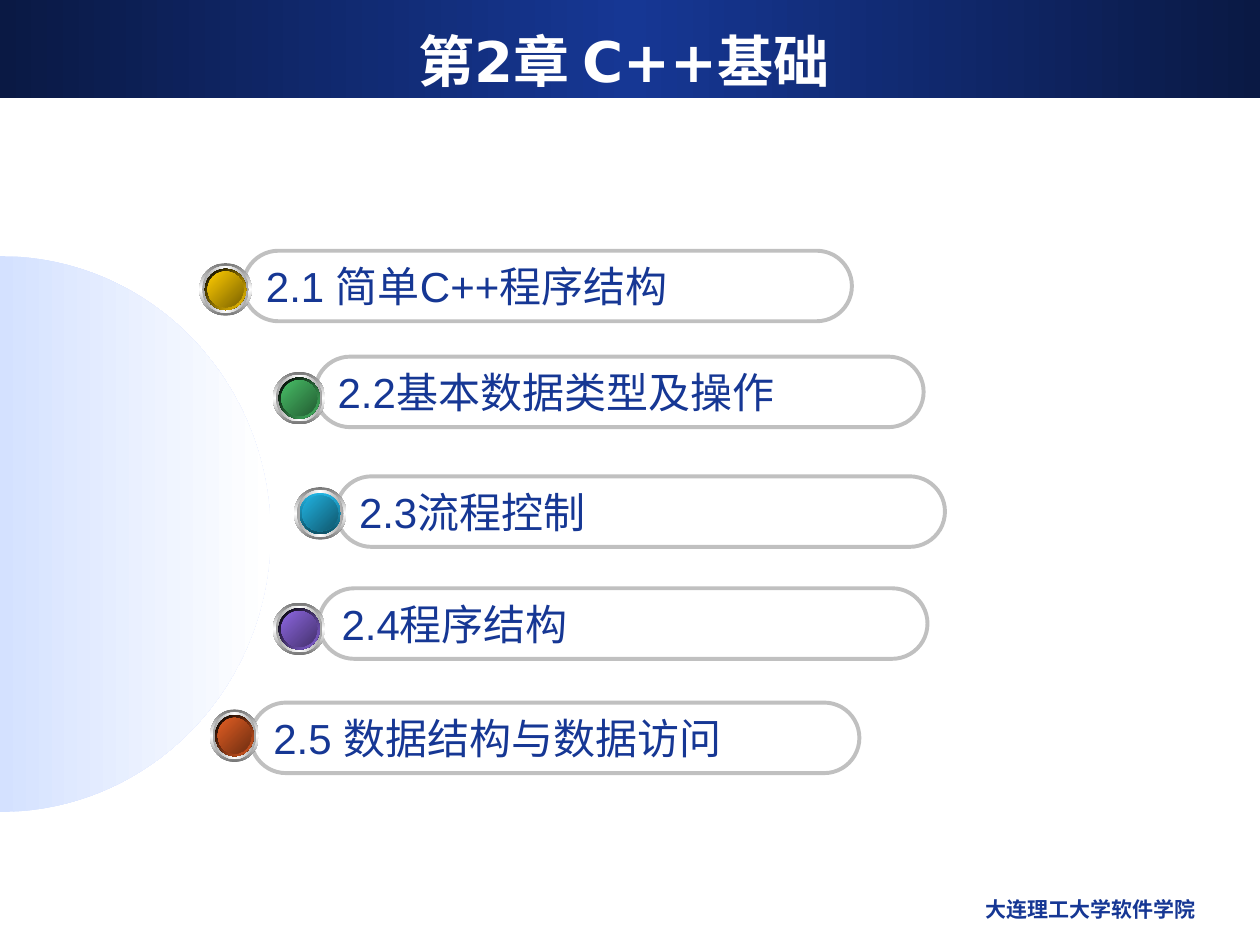
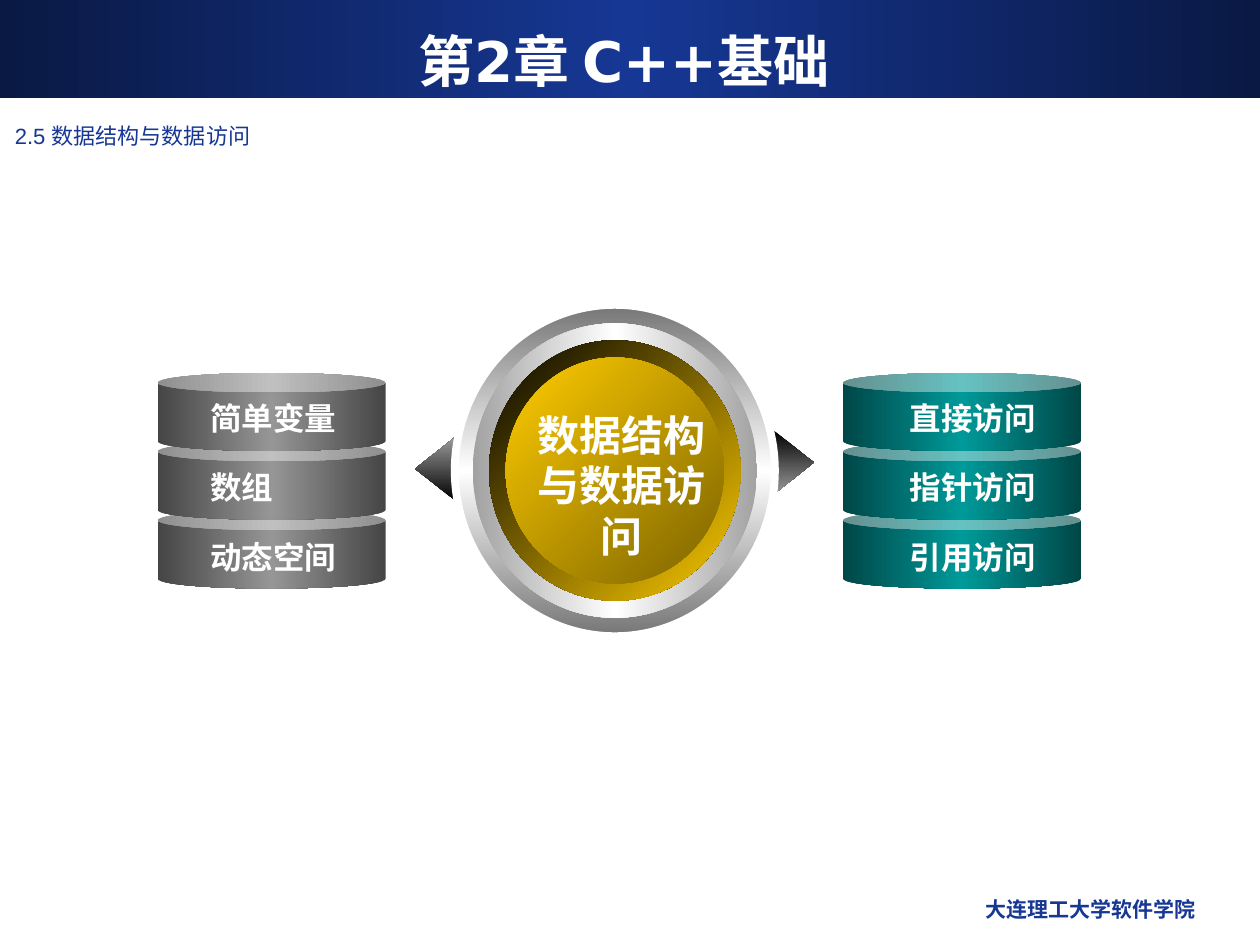
"""Builds two slides on C++ basics: the chapter outline and the data access diagram."""
from dataclasses import dataclass
from math import cos, pi, sin
from typing import NamedTuple

from lxml.etree import SubElement
from pptx import Presentation
from pptx.dml.color import RGBColor
from pptx.enum.shapes import MSO_SHAPE
from pptx.enum.text import MSO_ANCHOR, PP_ALIGN
from pptx.oxml.ns import qn
from pptx.util import Pt

NAVY, WHITE, SILVER = "163794", "FFFFFF", "C0C0C0"
SANS, ARIAL = "DejaVu Sans", "Arial"
CHAPTER = "第2章 C++基础"
SCHOOL = "大连理工大学软件学院"


class Box(NamedTuple):
    """A rectangle in points."""
    x: float
    y: float
    w: float
    h: float

    def inset(self, share: float) -> "Box":
        """Shrinks every side by a share of the box's size."""
        dx, dy = self.w * share, self.h * share
        return Box(self.x + dx, self.y + dy, self.w - 2 * dx, self.h - 2 * dy)

    def lengths(self) -> list:
        """Returns the four lengths for python-pptx."""
        return [Pt(v) for v in self]


class Gradient(NamedTuple):
    """Evenly spaced colours and a clockwise angle."""
    colors: tuple
    angle: int


class Style(NamedTuple):
    """Font and alignment of a text."""
    size: float
    color: str
    bold: bool = False
    font: str = ARIAL
    align: PP_ALIGN = PP_ALIGN.LEFT


@dataclass
class Topic:
    """An outline entry with its pill and its round button."""
    text: str
    pill_x: float
    pill_y: float
    button: Box
    light: str
    dark: str
    rim: Gradient


@dataclass
class Stack:
    """A column of cans with labels."""
    x: float
    w: float
    label_x: float
    fill: Gradient
    labels: tuple


TITLE = Style(32, WHITE, True, SANS, PP_ALIGN.CENTER)
FOOTER = Style(12, NAVY, True, SANS, PP_ALIGN.RIGHT)
SECTION = Style(12.6, NAVY)
ENTRY = Style(24, NAVY)
HUB = Style(24, WHITE, True, align=PP_ALIGN.CENTER)
LABEL = HUB._replace(size=18)

BAND = Gradient(("0A1944", NAVY, "0A1944"), 0)
OUTER_RING = Gradient(("767676", WHITE, "767676"), 90)
INNER_RING = Gradient(("A2A2A2", WHITE, "A2A2A2"), 0)
GOLD, DARK_GOLD = "FFCC00", "7C6300"


def black_rim(light: str) -> Gradient:
    """Returns the rim that runs from black to the button colour."""
    return Gradient(("000000", light), 45)


TOPICS = [
    Topic("2.1 简单C++程序结构", 139, 143.3, Box(113.9, 150.4, 30, 30),
          GOLD, DARK_GOLD, black_rim(GOLD)),
    Topic("2.2基本数据类型及操作", 180, 203.8, Box(156, 212.5, 30, 30),
          "48BE67", "235C32", black_rim("48BE67")),
    Topic("2.3流程控制", 192.2, 272.2, Box(168, 278.4, 30, 30),
          "21B3E1", "10576D", Gradient(("21B3E1", "0F5368"), 90)),
    Topic("2.4程序结构", 182.2, 336.2, Box(156, 344.4, 30, 30),
          "8D67E1", "45326D", black_rim("8D67E1")),
    Topic("2.5 数据结构与数据访问", 143.3, 401.5, Box(120, 405.4, 28, 30),
          "E35E23", "6E2E11", black_rim("E35E23")),
]
STACKS = [
    Stack(90, 130.3, 113, Gradient(("454545", "969696", "454545"), 0),
          ("简单变量", "数组", "动态空间")),
    Stack(481.7, 136.1, 512.6, Gradient(("004747", "009999", "004747"), 0),
          ("直接访问", "指针访问", "引用访问")),
]


def rgb(color: str) -> RGBColor:
    """Turns a hex string into a colour."""
    return RGBColor.from_string(color)


def paint(shape, gradient: Gradient) -> None:
    """Gives a shape a gradient and takes away its line and shadow."""
    shape.shadow.inherit = False
    shape.line.fill.background()
    shape.fill.gradient()
    shape.fill.gradient_angle = -gradient.angle % 360
    stops = shape._element.spPr.find(".//" + qn("a:gsLst"))
    for stop in list(stops):
        stops.remove(stop)
    step = 100000 // (len(gradient.colors) - 1)
    for i, color in enumerate(gradient.colors):
        stop = SubElement(stops, qn("a:gs"), pos=str(i * step))
        SubElement(stop, qn("a:srgbClr"), val=color)


def add_shape(s, kind: MSO_SHAPE, box: Box, gradient: Gradient):
    """Adds a preset shape with a gradient."""
    sp = s.shapes.add_shape(kind, *box.lengths())
    paint(sp, gradient)
    return sp


def write(sp, text: str, style: Style, wrap: bool = True,
          anchor: MSO_ANCHOR = MSO_ANCHOR.TOP) -> None:
    """Writes text, one paragraph a line, into a shape."""
    tf = sp.text_frame
    tf.word_wrap = wrap
    tf.vertical_anchor = anchor
    tf.text = text
    for p in tf.paragraphs:
        p.alignment = style.align
        p.font.size = Pt(style.size)
        p.font.bold = style.bold
        p.font.name = style.font
        p.font.color.rgb = rgb(style.color)


def add_text(s, box: Box, text: str, style: Style, wrap: bool = True,
             anchor: MSO_ANCHOR = MSO_ANCHOR.TOP) -> None:
    """Adds a text box."""
    write(s.shapes.add_textbox(*box.lengths()), text, style, wrap, anchor)


def add_button(s, box: Box, light: str, dark: str, rim: Gradient):
    """Adds a round button of four nested discs and returns the outer one."""
    face = Gradient((light, dark), 45)
    layers = [(0, OUTER_RING), (0.056, INNER_RING), (0.107, rim), (0.159, face)]
    discs = [add_shape(s, MSO_SHAPE.OVAL, box.inset(share), gradient)
             for share, gradient in layers]
    return discs[0]


def add_half_disc(s) -> None:
    """Adds the pale half ellipse at the left edge."""
    rx, ry, cy, steps = 154.6, 158.8, 305.2, 90
    angles = [pi * i / steps - pi / 2 for i in range(steps + 1)]
    points = [(Pt(rx * cos(a)), Pt(cy + ry * sin(a))) for a in angles]
    builder = s.shapes.build_freeform(*points[0])
    builder.add_line_segments(points[1:], close=True)
    paint(builder.convert_to_shape(), Gradient(("D4E1FF", WHITE), 0))


def add_topic(s, topic: Topic) -> None:
    """Adds an outline entry."""
    pill = s.shapes.add_shape(MSO_SHAPE.ROUNDED_RECTANGLE,
                              *Box(topic.pill_x, topic.pill_y, 347.8, 40.3).lengths())
    pill.adjustments[0] = 0.5
    pill.shadow.inherit = False
    pill.fill.background()
    pill.line.color.rgb = rgb(SILVER)
    pill.line.width = Pt(2.25)
    write(pill, topic.text, ENTRY, wrap=False, anchor=MSO_ANCHOR.MIDDLE)
    add_button(s, topic.button, topic.light, topic.dark, topic.rim)


def add_stack(s, stack: Stack) -> None:
    """Adds a stack of cans from the bottom up, then its labels."""
    for i in reversed(range(len(stack.labels))):
        add_shape(s, MSO_SHAPE.CAN, Box(stack.x, 213.1 + 39.3 * i, stack.w, 44.6),
                  stack.fill)
    for i, text in enumerate(stack.labels):
        width = LABEL.size * len(text) + 14.4
        add_text(s, Box(stack.label_x, 224.6 + 39.6 * i, width, 28.8),
                 text, LABEL, wrap=False)


def add_arrowhead(s, kind: MSO_SHAPE, x: float, y: float, angle: int) -> None:
    """Adds a triangular arrowhead beside the hub."""
    sp = add_shape(s, kind, Box(x, y, 23, 36.4), Gradient(("000000", "9B9B9B"), angle))
    sp.adjustments[0] = 0.52
    sp.adjustments[1] = 1


def new_slide(prs):
    """Adds a blank slide with the title band and the footer."""
    s = prs.slides.add_slide(prs.slide_layouts[6])
    s.background.fill.solid()
    s.background.fill.fore_color.rgb = rgb(WHITE)
    add_shape(s, MSO_SHAPE.RECTANGLE, Box(0, 0, 720, 56), BAND)
    add_text(s, Box(23.8, 12.2, 666, 44.6), CHAPTER, TITLE, anchor=MSO_ANCHOR.MIDDLE)
    add_text(s, Box(462.2, 509, 228.2, 25.2), SCHOOL, FOOTER)
    return s


def outline_slide(prs) -> None:
    """Builds the chapter outline."""
    s = new_slide(prs)
    add_half_disc(s)
    for topic in TOPICS:
        add_topic(s, topic)


def data_access_slide(prs) -> None:
    """Builds the hub with its two stacks."""
    s = new_slide(prs)
    add_text(s, Box(1.4, 66.2, 666, 23.8), TOPICS[-1].text, SECTION)
    add_arrowhead(s, MSO_SHAPE.LEFT_ARROW, 237.2, 249.7, 270)
    add_arrowhead(s, MSO_SHAPE.RIGHT_ARROW, 442.1, 246.1, 90)
    hub = add_button(s, Box(259.9, 174.2, 182.9, 189.4), GOLD, DARK_GOLD, black_rim(GOLD))
    hub.line.color.rgb = rgb(WHITE)
    hub.line.width = Pt(4.5)
    for stack in STACKS:
        add_stack(s, stack)
    add_text(s, Box(288, 230.4, 133.9, 64.8), "数据结构\n与数据访问", HUB, wrap=False)


def main() -> None:
    """Builds and saves the presentation."""
    prs = Presentation()
    prs.slide_width, prs.slide_height = Pt(720), Pt(540)
    outline_slide(prs)
    data_access_slide(prs)
    prs.save("out.pptx")


if __name__ == "__main__":
    main()
